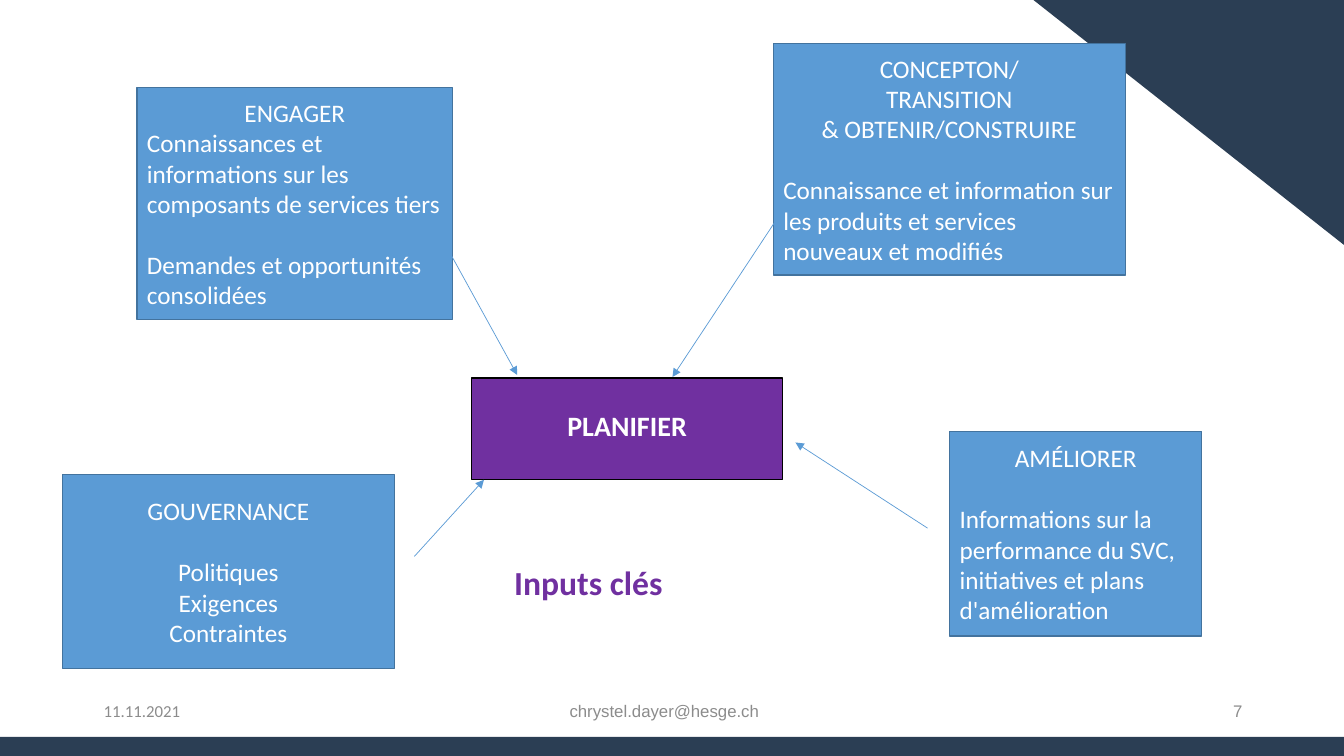
from lxml import etree
from pptx import Presentation
from pptx.dml.color import RGBColor
from pptx.enum.shapes import MSO_CONNECTOR, MSO_SHAPE
from pptx.enum.text import MSO_ANCHOR as ANCHOR, MSO_AUTO_SIZE, PP_ALIGN as ALIGN
from pptx.oxml.ns import qn
from pptx.util import Inches, Pt

NAVY, BLUE, BLUE_EDGE = "2B3E54", "5B9BD5", "43739E"
PURPLE, GREY, WHITE, BLACK = "7030A0", "8C8C8C", "FFFFFF", "000000"
SLIDE_W, SLIDE_H = 13.33, 7.5
BLANK_LINE = 22  # points, one line of 18 pt text

# Box on the slide, centred lines, left-aligned lines; each group is a list of blocks
ACTIVITIES = [
    ((1.36, 0.87, 3.13, 2.3), [
        (ALIGN.CENTER, False, ["ENGAGER"]),
        (ALIGN.LEFT, False, ["Connaissances et informations sur les composants de services tiers"]),
        (ALIGN.LEFT, True, ["Demandes et opportunités consolidées"])]),
    ((0.62, 4.71, 3.29, 1.92), [
        (ALIGN.CENTER, False, ["GOUVERNANCE"]),
        (ALIGN.CENTER, True, ["Politiques", "Exigences", "Contraintes"])]),
    ((7.67, 0.43, 3.49, 2.3), [
        (ALIGN.CENTER, False, ["CONCEPTON/", "TRANSITION", "& OBTENIR/CONSTRUIRE"]),
        (ALIGN.LEFT, True, ["Connaissance et information sur les produits et services "
                            "nouveaux et modifiés"])]),
    ((9.42, 4.28, 2.5, 2.03), [
        (ALIGN.CENTER, False, ["AMÉLIORER"]),
        (ALIGN.LEFT, True, ["Informations sur la performance du SVC, initiatives et plans "
                            "d'amélioration"])]),
]
ARROWS = [
    ((4.48, 2.54), (5.13, 3.72)),
    ((7.76, 2.09), (6.67, 3.74)),
    ((9.2, 5.24), (7.89, 4.39)),
    ((4.11, 5.52), (4.8, 4.76)),
]
FOOTER = [
    ((0.93, 6.85, 2.98, 0.4), "11.11.2021", ALIGN.LEFT, "Calibri"),
    ((4.34, 6.85, 4.5, 0.4), "chrystel.dayer@hesge.ch", ALIGN.CENTER, "Arial"),
    ((9.42, 6.85, 3, 0.4), "7", ALIGN.RIGHT, "Arial"),
]


def rgb(hex_color):
    return RGBColor.from_string(hex_color)


def inches(box):
    return [Inches(length) for length in box]


def write(paragraph, text, size, color, align=ALIGN.LEFT, font="Calibri", bold=False):
    paragraph.alignment = align
    run = paragraph.add_run()
    run.text = text
    run.font.name, run.font.size, run.font.bold = font, Pt(size), bold
    run.font.color.rgb = rgb(color)


def add_block(slide, preset, box, fill, edge=None, edge_width=1):
    block = slide.shapes.add_shape(preset, *inches(box))
    block.shadow.inherit = False
    block.fill.solid()
    block.fill.fore_color.rgb = rgb(fill)
    if edge:
        block.line.color.rgb = rgb(edge)
        block.line.width = Pt(edge_width)
    else:
        block.line.fill.background()
    block.text_frame.word_wrap = True
    block.text_frame.vertical_anchor = ANCHOR.MIDDLE
    return block


def add_background(slide):
    add_block(slide, MSO_SHAPE.RECTANGLE, (0, 7.31, SLIDE_W, 0.19), NAVY)
    corner = add_block(slide, MSO_SHAPE.RIGHT_TRIANGLE, (10.25, 0, 3.08, 2.43), NAVY)
    corner.rotation = 180


def add_footer_item(slide, box, text, align, font):
    frame = slide.shapes.add_textbox(*inches(box)).text_frame
    frame.word_wrap = True
    frame.vertical_anchor = ANCHOR.MIDDLE
    write(frame.paragraphs[0], text, 12, GREY, align, font)


def add_plan(slide, box):
    plan = add_block(slide, MSO_SHAPE.RECTANGLE, box, PURPLE, BLACK, 0.75)
    label = plan.text_frame.paragraphs[0]
    label.line_spacing = 0.8
    write(label, "PLANIFIER", 20, WHITE, ALIGN.CENTER, bold=True)


def add_activity(slide, box, groups):
    """Draw one input box; a group may be set apart from the one above it."""
    frame = add_block(slide, MSO_SHAPE.RECTANGLE, box, BLUE, BLUE_EDGE).text_frame
    paragraph = None
    for align, apart, lines in groups:
        for index, line in enumerate(lines):
            paragraph = frame.add_paragraph() if paragraph else frame.paragraphs[0]
            if apart and index == 0:
                paragraph.space_before = Pt(BLANK_LINE)
            write(paragraph, line, 18, WHITE, align)


def add_arrow(slide, start, end):
    arrow = slide.shapes.add_connector(MSO_CONNECTOR.STRAIGHT, *inches(start + end))
    arrow.line.color.rgb = rgb(BLUE)
    arrow.line.width = Pt(0.5)
    etree.SubElement(arrow.line._get_or_add_ln(), qn("a:tailEnd"), type="triangle")
    etree.SubElement(arrow._element.spPr, qn("a:effectLst"))


def place_title(slide, box):
    title = slide.shapes.title
    title.left, title.top, title.width, title.height = inches(box)
    frame = title.text_frame
    frame.auto_size = MSO_AUTO_SIZE.NONE
    frame.word_wrap = True
    frame.vertical_anchor = ANCHOR.TOP
    write(frame.paragraphs[0], "Inputs clés", 24, PURPLE, bold=True)


def build_inputs_slide(deck):
    slide = deck.slides.add_slide(deck.slide_layouts[5])
    add_background(slide)
    for item in FOOTER:
        add_footer_item(slide, *item)
    add_plan(slide, (4.68, 3.75, 3.08, 1.01))
    for box, groups in ACTIVITIES:
        add_activity(slide, box, groups)
    for start, end in ARROWS:
        add_arrow(slide, start, end)
    place_title(slide, (5, 5.52, 2.88, 0.5))


def main():
    deck = Presentation()
    deck.slide_width, deck.slide_height = Inches(SLIDE_W), Inches(SLIDE_H)
    build_inputs_slide(deck)
    deck.save("out.pptx")


if __name__ == "__main__":
    main()
